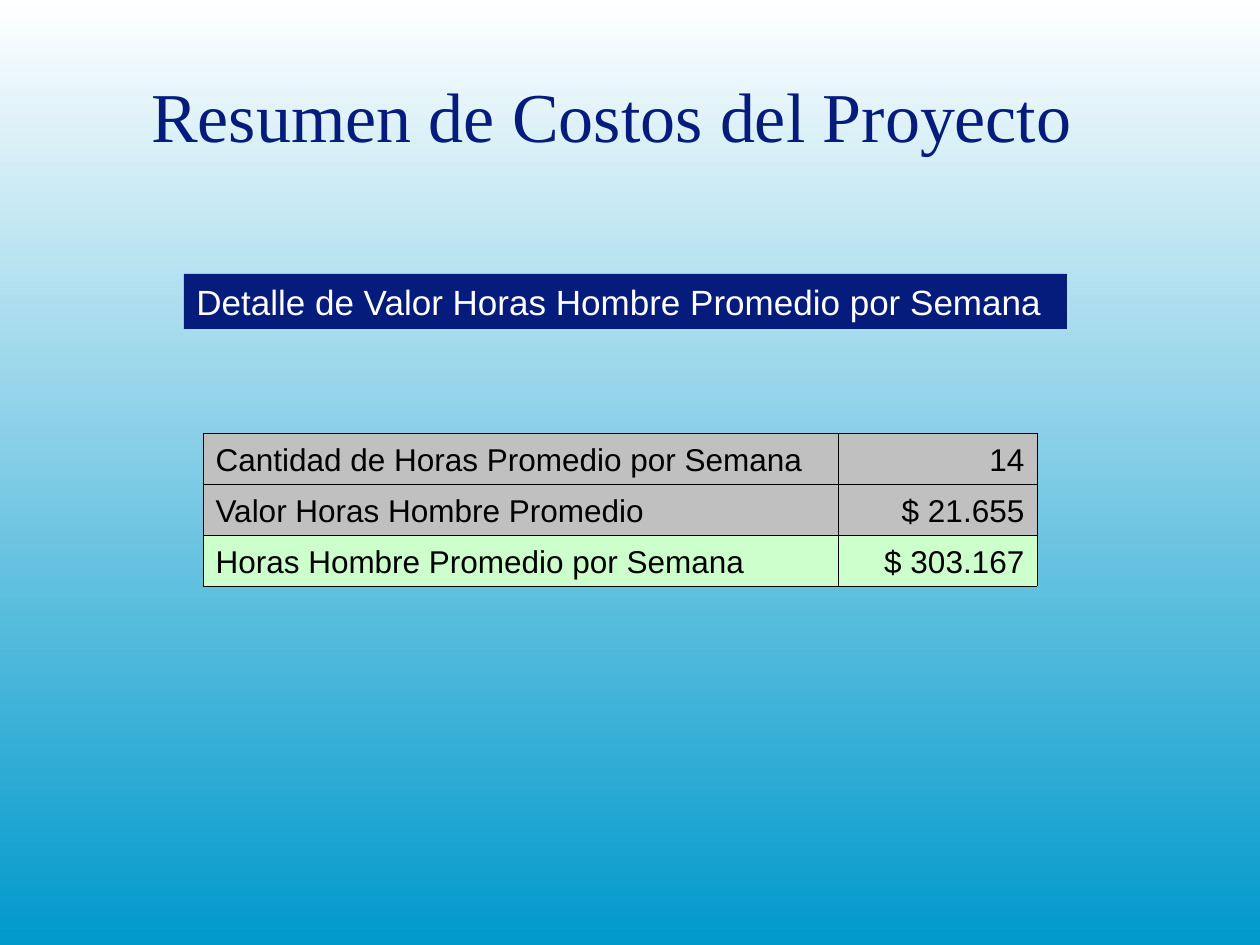
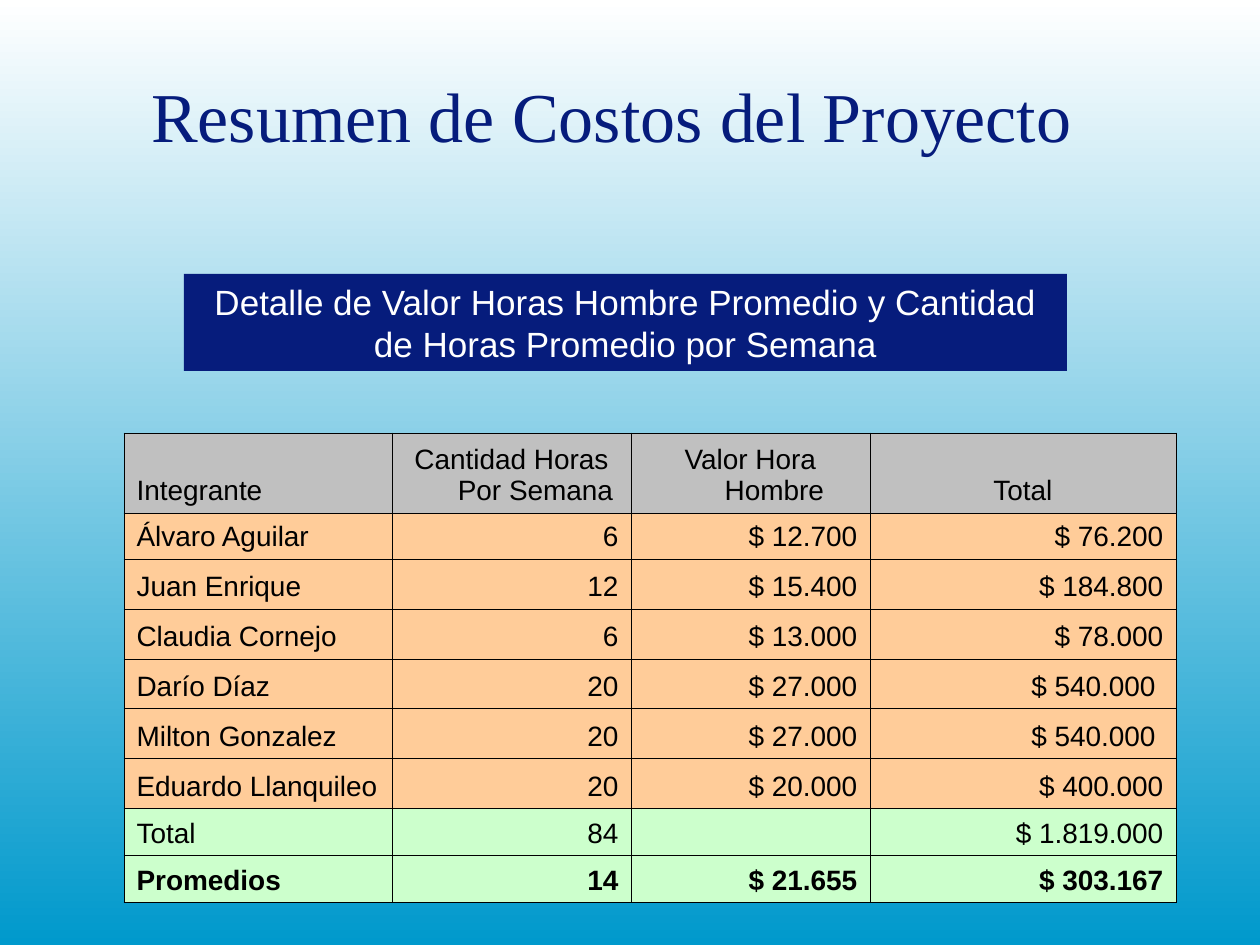
from lxml.etree import SubElement
from pptx import Presentation
from pptx.dml.color import RGBColor
from pptx.enum.shapes import MSO_SHAPE
from pptx.enum.text import MSO_ANCHOR, MSO_AUTO_SIZE, PP_ALIGN
from pptx.oxml.ns import qn
from pptx.util import Pt

EMU_PER_PX = 914400 / 126
NAVY, WHITE, BLACK = "061C7C", "FFFFFF", "000000"
SKY, GREY, GREEN, PEACH = "0099CC", "C0C0C0", "CCFFCC", "FFCC99"
TITLE = "Resumen de Costos del Proyecto"
TITLE_BOX = (113, 35, 997, 158)
HANGING = 48
BORDER_PT = 0.45

SUMMARY = [
    ("Cantidad de Horas Promedio por Semana", "14"),
    ("Valor Horas Hombre Promedio", "$ 21.655"),
    ("Horas Hombre Promedio por Semana", "$ 303.167"),
]
MEMBERS = [
    ("Integrante", "Cantidad Horas Por Semana", "Valor Hora Hombre", "Total"),
    ("Álvaro Aguilar", "6", "$ 12.700", "$ 76.200"),
    ("Juan Enrique", "12", "$ 15.400", "$ 184.800"),
    ("Claudia Cornejo", "6", "$ 13.000", "$ 78.000"),
    ("Darío Díaz", "20", "$ 27.000", "$ 540.000 "),
    ("Milton Gonzalez", "20", "$ 27.000", "$ 540.000 "),
    ("Eduardo Llanquileo", "20", "$ 20.000", "$ 400.000"),
    ("Total", "84", "", "$ 1.819.000"),
    ("Promedios", "14", "$ 21.655", "$ 303.167"),
]


def px(length):
    """Turn pixels into EMU."""
    return round(length * EMU_PER_PX)


def rgb(value):
    """Turn a hex string into a colour."""
    return RGBColor.from_string(value)


def style_text(paragraph, font, size, color, align, bold=False):
    """Align a paragraph and format its runs."""
    paragraph.alignment = align
    for run in paragraph.runs:
        run.font.name = font
        run.font.size = Pt(size)
        run.font.bold = bold
        run.font.color.rgb = rgb(color)


def paint_background(master):
    """Give the master its white to blue gradient."""
    fill = master.background.fill
    fill.gradient()
    fill.gradient_angle = 270
    for stop, position, color in zip(fill.gradient_stops, (0, 1), (WHITE, SKY)):
        stop.position = position
        stop.color.rgb = rgb(color)


def place_title(slide, box):
    """Fill and place the title placeholder."""
    title = slide.shapes.title
    title.left, title.top, title.width, title.height = map(px, box)
    frame = title.text_frame
    frame.text = TITLE
    frame.vertical_anchor = MSO_ANCHOR.MIDDLE
    style_text(frame.paragraphs[0], "Times New Roman", 40, NAVY, PP_ALIGN.CENTER)


def add_banner(slide, box, heading, align):
    """Add the navy band that names the table."""
    banner = slide.shapes.add_shape(MSO_SHAPE.RECTANGLE, *map(px, box))
    banner.shadow.inherit = False
    banner.fill.solid()
    banner.fill.fore_color.rgb = rgb(NAVY)
    banner.line.fill.background()
    frame = banner.text_frame
    frame.word_wrap = True
    frame.auto_size = MSO_AUTO_SIZE.SHAPE_TO_FIT_TEXT
    frame.vertical_anchor = MSO_ANCHOR.TOP
    frame.text = heading
    style_text(frame.paragraphs[0], "Arial", 20, WHITE, align)


def add_borders(cell):
    """Draw thin black lines on the four sides of a cell."""
    properties = cell._tc.get_or_add_tcPr()
    for side in ("a:lnL", "a:lnR", "a:lnT", "a:lnB"):
        line = SubElement(properties, qn(side), w=str(Pt(BORDER_PT)))
        SubElement(SubElement(line, qn("a:solidFill")), qn("a:srgbClr"), val=BLACK)


def fill_cell(cell, content, size, align, color, bold):
    """Write and format one table cell."""
    add_borders(cell)
    cell.fill.solid()
    cell.fill.fore_color.rgb = rgb(color)
    cell.vertical_anchor = MSO_ANCHOR.BOTTOM
    cell.text_frame.text = content
    paragraph = cell.text_frame.paragraphs[0]
    style_text(paragraph, "Arial", size, BLACK, align, bold)
    indents = paragraph._p.get_or_add_pPr()
    indents.set("marL", str(px(HANGING)))
    indents.set("indent", str(-px(HANGING)))
    if not content:
        SubElement(paragraph._p, qn("a:endParaRPr"), sz=str(size * 100))


def add_costs(slide, corner, widths, heights, rows, colors, size, header=False):
    """Add a cost table with one fill colour per row."""
    left, top = corner
    box = (left, top, sum(widths), sum(heights))
    costs = slide.shapes.add_table(len(rows), len(widths), *map(px, box)).table
    costs.first_row = costs.horz_banding = False
    for column, width in zip(costs.columns, widths):
        column.width = px(width)
    for r, (values, height, color) in enumerate(zip(rows, heights, colors)):
        costs.rows[r].height = px(height)
        number_align = PP_ALIGN.CENTER if header and r == 0 else PP_ALIGN.RIGHT
        for c, value in enumerate(values):
            align = number_align if c else PP_ALIGN.LEFT
            bold = values[0] == "Promedios"
            fill_cell(costs.cell(r, c), value, size, align, color, bold)


def build_summary(slide):
    """Build the slide with the weekly average cost."""
    place_title(slide, TITLE_BOX)
    add_costs(slide, (203, 433), (635, 199), [51] * 3, SUMMARY,
              [GREY, GREY, GREEN], 18)
    add_banner(slide, (184, 274, 883, 55),
               "Detalle de Valor Horas Hombre Promedio por Semana", PP_ALIGN.LEFT)


def build_members(slide):
    """Build the slide with the cost of each member."""
    place_title(slide, TITLE_BOX)
    add_costs(slide, (124, 433), (268, 239, 239, 306),
              [80, 46] + [50] * 5 + [47] * 2, MEMBERS,
              [GREY] + [PEACH] * 6 + [GREEN] * 2, 16, header=True)
    add_banner(slide, (184, 274, 883, 97),
               "Detalle de Valor Horas Hombre Promedio y Cantidad "
               "de Horas Promedio por Semana", PP_ALIGN.CENTER)


def main():
    """Build and save the presentation."""
    deck = Presentation()
    deck.slide_width, deck.slide_height = px(1260), px(945)
    paint_background(deck.slide_master)
    title_only = deck.slide_layouts[5]
    for build in (build_summary, build_members):
        build(deck.slides.add_slide(title_only))
    deck.save("out.pptx")


if __name__ == "__main__":
    main()
